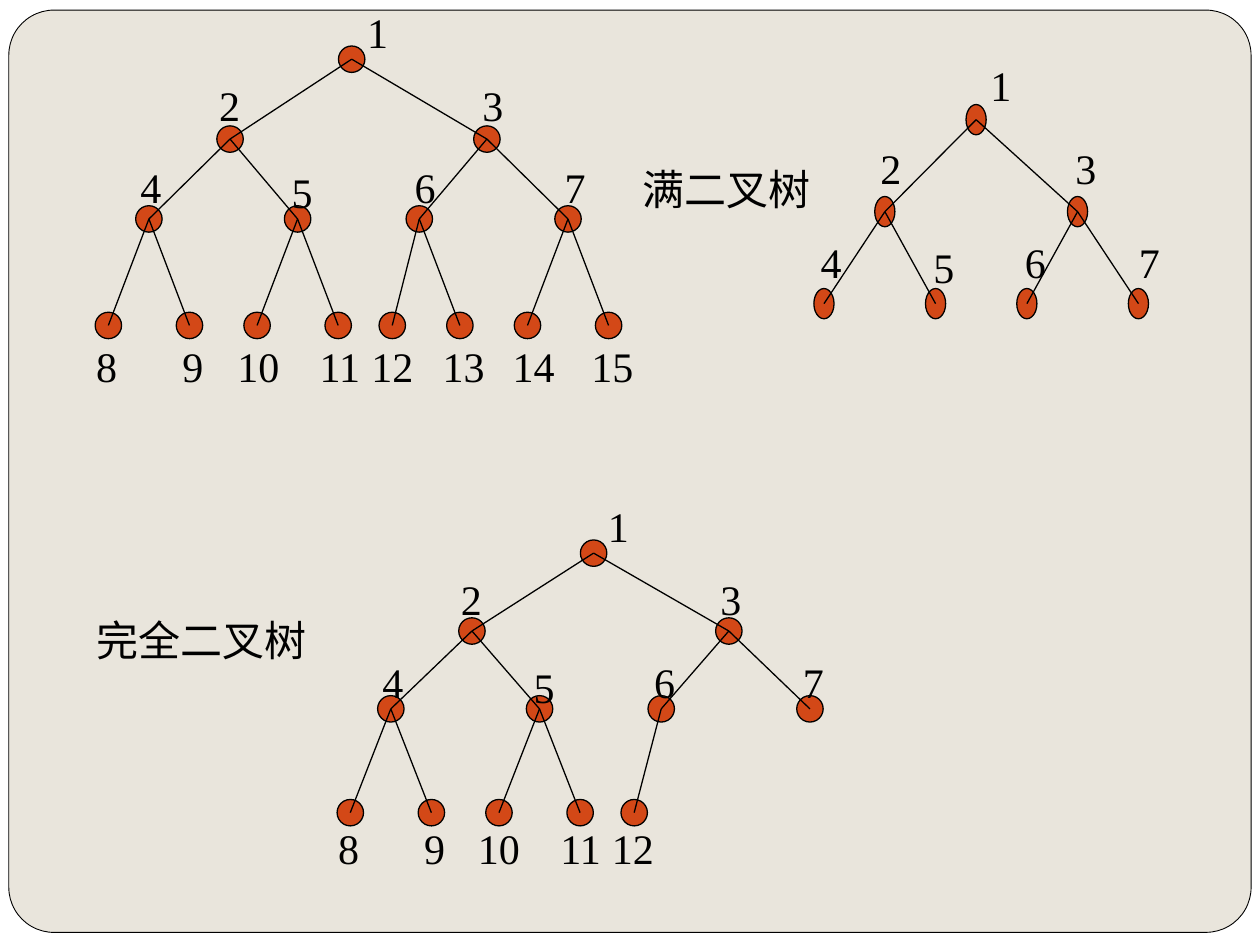
from dataclasses import dataclass

from lxml.etree import SubElement
from pptx import Presentation
from pptx.dml.color import RGBColor
from pptx.enum.shapes import MSO_CONNECTOR, MSO_SHAPE
from pptx.enum.text import MSO_AUTO_SIZE
from pptx.oxml.ns import qn
from pptx.util import Inches, Pt

FONT = "Times New Roman"
BLACK, WHITE, SAND, ORANGE = "000000", "FFFFFF", "E9E5DC", "D34817"
LABEL_HEIGHT = 0.5
FIFTH_LABEL_DROP = 0.04

# Grid columns and rows of the nodes, numbered level by level from the root
WIDE_COLUMNS = [18, 9, 28, 3, 14, 23, 34, 0, 6, 11, 17, 21, 26, 31, 37]
WIDE_ROWS = [0, 3, 6, 10]
SMALL_COLUMNS = [15, 6, 25, 0, 11, 20, 31]
SMALL_ROWS = [0, 1, 2]


@dataclass
class Tree:
    left: float
    top: float
    column_width: float
    row_height: float
    columns: list
    rows: list
    node_size: tuple
    label_tops: list
    label_shifts: list

    def center(self, number):
        x = self.left + self.columns[number - 1] * self.column_width
        y = self.top + self.rows[level(number)] * self.row_height
        return x, y


FULL_TREE = Tree(
    0.86, 0.47, 0.1073, 0.2113, WIDE_COLUMNS, WIDE_ROWS, (0.21, 0.21),
    [0, 0.58, 1.23, 2.65],
    [0.21, 0, 0.05, 0.02, 0.04, 0.05, 0.06,
     -0.01, 0.03, 0.01, 0.02, 0, 0.03, 0.05, 0.03])
COMPLETE_TREE = Tree(
    2.78, 4.39, 0.1073, 0.206, WIDE_COLUMNS[:12], WIDE_ROWS, (0.21, 0.21),
    [3.92, 4.5, 5.16, 6.48],
    [0.2, 0, 0.02, 0.02, 0.04, 0.03, 0.03, -0.01, 0.03, 0, 0.01, -0.01])
SMALL_TREE = Tree(
    6.54, 0.95, 0.0805, 0.73, SMALL_COLUMNS, SMALL_ROWS, (0.16, 0.24),
    [0.42, 1.08, 1.83],
    [0.2, 0.05, 0.07, 0.06, 0.07, 0.07, 0.09])


def level(number):
    return number.bit_length() - 1


def color(value):
    return RGBColor.from_string(value)


def add_filled(shapes, kind, bounds, fill, line_width):
    shape = shapes.add_shape(kind, *map(Inches, bounds))
    shape.shadow.inherit = False
    shape.fill.solid()
    shape.fill.fore_color.rgb = color(fill)
    shape.line.color.rgb = color(BLACK)
    shape.line.width = Pt(line_width)
    return shape


def add_edge(shapes, start, end):
    edge = shapes.add_connector(MSO_CONNECTOR.STRAIGHT, *map(Inches, start + end))
    edge.line.color.rgb = color(BLACK)
    edge.line.width = Pt(0.75)
    SubElement(edge._element.spPr, qn("a:effectLst"))


def add_label(shapes, text, left, top, width):
    box = shapes.add_textbox(*map(Inches, (left, top, width, LABEL_HEIGHT)))
    frame = box.text_frame
    frame.word_wrap = False
    frame.auto_size = MSO_AUTO_SIZE.SHAPE_TO_FIT_TEXT
    span = frame.paragraphs[0].add_run()
    span.text = text
    span.font.name = FONT
    span.font.size = Pt(24)
    span.font.color.rgb = color(BLACK)


def add_tree(page, tree):
    shapes = page.shapes.add_group_shape().shapes
    numbers = range(1, len(tree.columns) + 1)
    width, height = tree.node_size

    # Nodes
    for number in numbers:
        x, y = tree.center(number)
        bounds = (x - width / 2, y - height / 2, width, height)
        add_filled(shapes, MSO_SHAPE.OVAL, bounds, ORANGE, 0.75)

    # Edges: the parent of node n is node n // 2
    for number in numbers[1:]:
        add_edge(shapes, tree.center(number // 2), tree.center(number))

    # Numbers
    for number in numbers:
        x = tree.center(number)[0] + tree.label_shifts[number - 1]
        top = tree.label_tops[level(number)]
        if number == 5:
            top += FIFTH_LABEL_DROP
        label_width = 0.37 if number < 10 else 0.53
        add_label(shapes, str(number), x - label_width / 2, top, label_width)


def add_panel(page):
    page.background.fill.solid()
    page.background.fill.fore_color.rgb = color(WHITE)
    panel = add_filled(page.shapes, MSO_SHAPE.ROUNDED_RECTANGLE,
                       (0.07, 0.08, 9.86, 7.32), SAND, 0.5)
    panel.adjustments[0] = 0.049


def main():
    deck = Presentation()
    deck.slide_width, deck.slide_height = Inches(10), Inches(7.5)
    page = deck.slides.add_slide(deck.slide_layouts[6])

    add_panel(page)
    add_tree(page, FULL_TREE)
    add_tree(page, COMPLETE_TREE)
    add_label(page.shapes, "满二叉树", 5, 1.25, 1.53)
    add_label(page.shapes, "完全二叉树", 0.67, 4.83, 1.87)
    add_tree(page, SMALL_TREE)

    deck.save("out.pptx")


if __name__ == "__main__":
    main()
